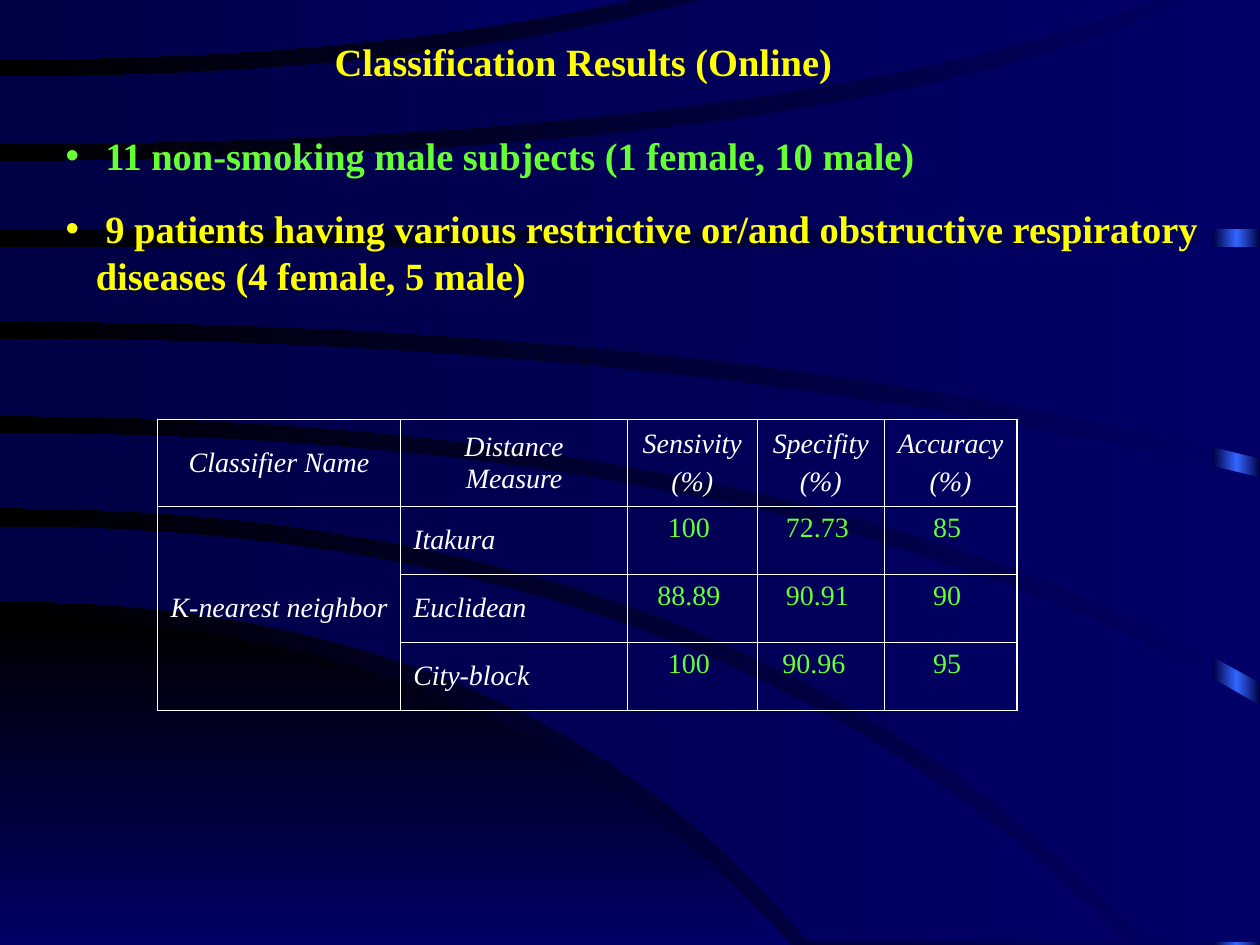
import copy

import pptx
import pptx.dml.color
import pptx.enum.shapes
import pptx.enum.text
import pptx.oxml
import pptx.oxml.ns
import pptx.util

Inches = pptx.util.Inches
Pt = pptx.util.Pt
RGB = pptx.dml.color.RGBColor.from_string
Align = pptx.enum.text.PP_ALIGN
Anchor = pptx.enum.text.MSO_ANCHOR

FONT = "Times New Roman"
COLORS = {"navy": "000066", "dusk": "000044", "black": "000000", "blue": "3366FF",
          "yellow": "FFFF00", "green": "66FF33", "white": "FFFFFF"}

# Content
TITLE = "Classification Results (Online)"
BULLETS = [  # text, colour, box
    (" 11 non-smoking male subjects (1 female, 10 male)", "green", (0.42, 1, 9.17, 0.47)),
    (" 9 patients having various restrictive or/and obstructive respiratory "
     "diseases (4 female, 5 male)", "yellow", (0.42, 1.58, 9.33, 0.84)),
]
HEADERS = [["Classifier Name"], ["Distance Measure"], ["Sensivity", "(%)"],
           ["Specifity", "(%)"], ["Accuracy", "(%)"]]
CLASSIFIER = "K-nearest neighbor"
RESULTS = [
    ("Itakura", "100 ", "72.73 ", "85 "),
    ("Euclidean", "88.89 ", "90.91 ", "90 "),
    ("City-block", "100 ", "90.96  ", "95 "),
]
COLUMN_WIDTHS = [1.93, 1.8, 1.03, 1.01, 1.05]
ROW_HEIGHTS = [0.69] + [0.54] * len(RESULTS)
TABLE_LEFT, TABLE_TOP = 1.25, 3.33
THICK, THIN = 1.08, 0.45

# Each edge leaves the left side level: start y, bend x, end x, end y
HILL = ((4.91, 3.97, 6.28, 7.5), (7.5, 3, 6.28, 7.5))
BANDS = [  # upper edge, lower edge
    ((4.18, 5.74, 8.93, 7.48), (4.77, 4.19, 6.42, 7.48)),
    ((3.44, 6.4, 10, 5.6), (4.03, 5.9, 9.09, 7.48)),
    ((2.69, 5.54, 10, 3.79), (3.3, 6.3, 10, 5.42)),
    ((1.96, 5, 10, 1.96), (2.55, 5.66, 10, 3.64)),
    ((1.28, 6.7, 9.43, 0), (1.82, 5, 10, 1.82)),
    ((0.61, 3.34, 5.56, 0), (1.14, 6.16, 9.17, 0)),
    ((0, 2.5, 5.01, 0), (0.47, 2.9, 5.01, 0)),
]
CURVE_STEPS = 24


def add_xml(parent, xml):
    namespace = pptx.oxml.ns.nsdecls("a")
    parent.append(pptx.oxml.parse_xml(xml.replace(" ", f" {namespace} ", 1)))


def set_gradient(fill, parent, colors, angle):
    """Evenly spaced stops; the angle runs counter-clockwise."""
    fill.gradient()
    fill.gradient_angle = angle
    stop_list = next(parent.iter(pptx.oxml.ns.qn("a:gsLst")))
    while len(stop_list) < len(colors):
        stop_list.append(copy.deepcopy(stop_list[0]))
    for number, (stop, color) in enumerate(zip(fill.gradient_stops, colors)):
        stop.position = number / (len(colors) - 1)
        stop.color.rgb = RGB(COLORS[color])


def finish_backdrop(shape, colors, angle):
    shape.shadow.inherit = False
    shape.line.fill.background()
    set_gradient(shape.fill, shape._element, colors, angle)


def curve(start_y, bend_x, end_x, end_y):
    """Points of a quadratic curve that starts level at the left side."""
    shares = [step / CURVE_STEPS for step in range(CURVE_STEPS + 1)]
    return [(2 * t * (1 - t) * bend_x + t * t * end_x,
             start_y + t * t * (end_y - start_y)) for t in shares]


def add_band(slide, edges, colors, angle):
    upper, lower = map(curve, *zip(*edges))
    shorter, longer = sorted((upper[-1], lower[-1]))
    corner = (longer[0], shorter[1])
    points = [(Inches(x), Inches(y)) for x, y in upper + [corner] + lower[::-1]]
    builder = slide.shapes.build_freeform(*points[0], scale=1.0)
    builder.add_line_segments(points[1:], close=True)
    finish_backdrop(builder.convert_to_shape(), colors, angle)


def write_text(owner, lines, size, color, align=Align.LEFT, anchor=Anchor.TOP,
               bold=False, italic=False, gap=0, bullet=None):
    """Fill a shape or a table cell, one paragraph a line."""
    frame = owner.text_frame
    frame.word_wrap = True
    anchored = owner if hasattr(owner, "vertical_anchor") else frame
    anchored.vertical_anchor = anchor
    for number, line in enumerate(lines):
        paragraph = frame.add_paragraph() if number else frame.paragraphs[0]
        paragraph.alignment = align
        paragraph.space_before = Pt(gap if number else 0)
        if bullet:
            properties = paragraph._p.get_or_add_pPr()
            properties.set("marL", str(Inches(0.24)))
            properties.set("indent", str(-Inches(0.24)))
            add_xml(properties, f'<a:buClr ><a:srgbClr val="{COLORS[color]}"/></a:buClr>')
            add_xml(properties, f'<a:buChar char="{bullet}"/>')
        run = paragraph.add_run()
        run.text = line
        run.font.name, run.font.size = FONT, Pt(size)
        run.font.bold, run.font.italic = bold, italic
        run.font.color.rgb = RGB(COLORS[color])


def place(shape, box):
    shape.left, shape.top, shape.width, shape.height = map(Inches, box)
    shape.text_frame.auto_size = pptx.enum.text.MSO_AUTO_SIZE.NONE


def style_cell(cell, outer):
    """Draw the four borders, thick where the side is on the table's edge."""
    properties = cell._tc.get_or_add_tcPr()
    for side, is_outer in zip("LRTB", outer):
        width = int(Pt(THICK if is_outer else THIN))
        add_xml(properties, f'<a:ln{side} w="{width}"><a:solidFill><a:srgbClr '
                            f'val="{COLORS["white"]}"/></a:solidFill></a:ln{side}>')
    cell.fill.background()


def add_results_table(slide):
    rows, columns = len(ROW_HEIGHTS), len(COLUMN_WIDTHS)
    table = slide.shapes.add_table(
        rows, columns, Inches(TABLE_LEFT), Inches(TABLE_TOP),
        Inches(sum(COLUMN_WIDTHS)), Inches(sum(ROW_HEIGHTS))).table
    table.first_row = table.horz_banding = False
    for column, width in zip(table.columns, COLUMN_WIDTHS):
        column.width = Inches(width)
    for row, height in zip(table.rows, ROW_HEIGHTS):
        row.height = Inches(height)
    for r in range(rows):
        for c in range(columns):
            style_cell(table.cell(r, c), (c == 0, c == columns - 1, r == 0, r == rows - 1))
    table.cell(1, 0).merge(table.cell(rows - 1, 0))

    label = dict(size=16, color="white", italic=True, anchor=Anchor.MIDDLE, gap=4)
    for c, lines in enumerate(HEADERS):
        write_text(table.cell(0, c), lines, align=Align.CENTER, **label)
    write_text(table.cell(1, 0), [CLASSIFIER], align=Align.CENTER, **label)
    for r, (measure, *values) in enumerate(RESULTS, start=1):
        write_text(table.cell(r, 1), [measure], **label)
        for c, value in enumerate(values, start=2):
            write_text(table.cell(r, c), [value], size=16, color="green",
                       align=Align.CENTER)


def main():
    presentation = pptx.Presentation()
    presentation.slide_width, presentation.slide_height = Inches(10), Inches(7.5)
    slide = presentation.slides.add_slide(presentation.slide_layouts[3])
    title, *bodies = slide.placeholders

    # Backdrop
    set_gradient(slide.background.fill, slide._element, ["navy", "black"], 180)
    strip = slide.shapes.add_shape(pptx.enum.shapes.MSO_SHAPE.RECTANGLE,
                                   Inches(9.63), 0, Inches(0.37), Inches(7.5))
    finish_backdrop(strip, ["dusk", "blue", "dusk"], 180)
    add_band(slide, HILL, ["black", "navy"], 270)
    for band in BANDS:
        add_band(slide, band, ["navy", "dusk"], 180)

    # Title and bullets, in front of the backdrop
    tree = title._element.getparent()
    for placeholder in (title, *bodies):
        tree.append(placeholder._element)
    place(title, (1.92, 0.25, 5.42, 0.47))
    write_text(title, [TITLE], size=22, color="yellow", bold=True, align=Align.CENTER)
    for body, (text, color, box) in zip(bodies, BULLETS):
        place(body, box)
        write_text(body, [text], size=22, color=color, bold=True, bullet="•")

    add_results_table(slide)
    presentation.save("out.pptx")


if __name__ == "__main__":
    main()
